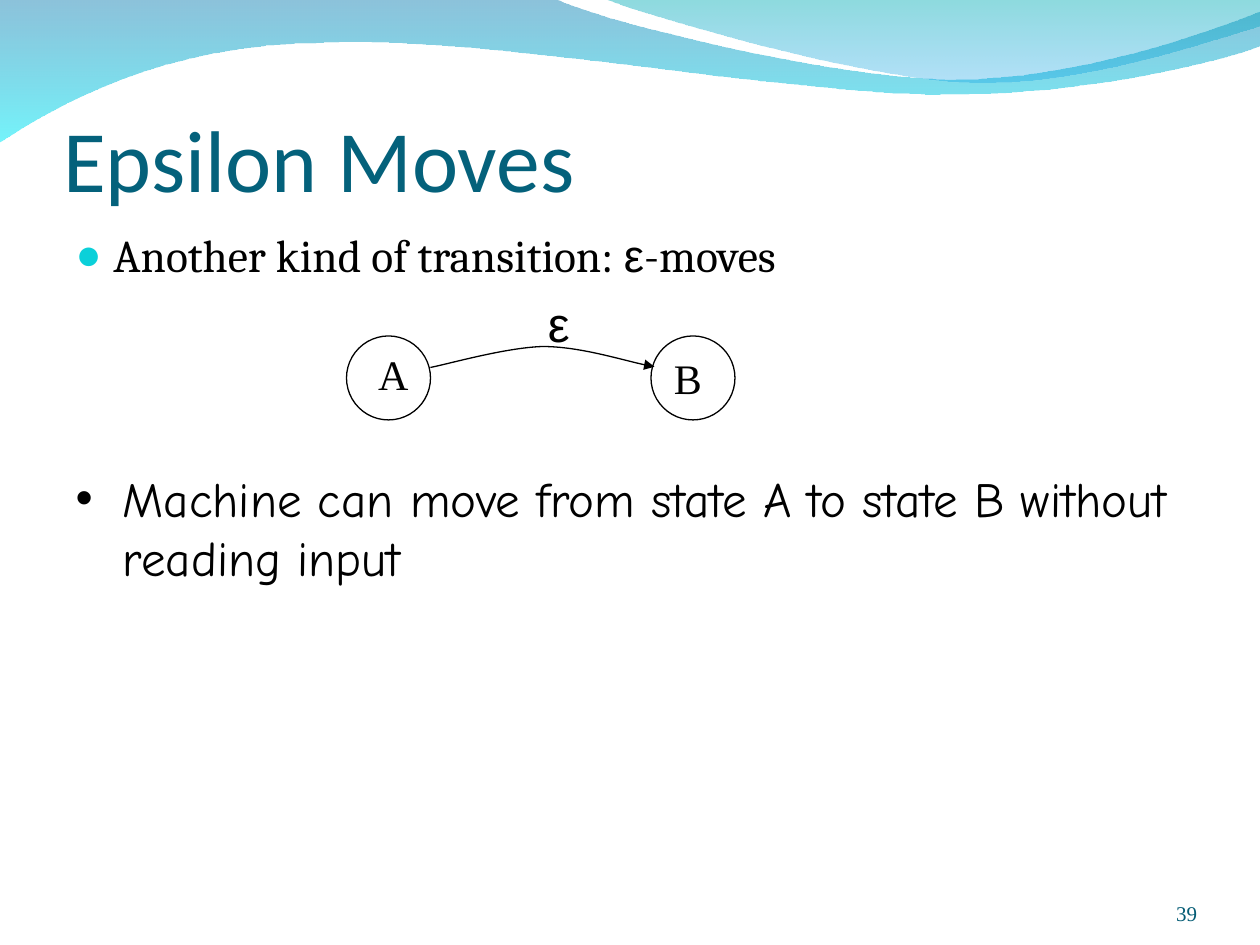
from dataclasses import dataclass
from lxml import etree
from pptx import Presentation
from pptx.dml.color import RGBColor
from pptx.enum import shapes as kinds, text as txt
from pptx.oxml import ns
from pptx.util import Pt


@dataclass(frozen=True)
class Theme:
    ink: str = "000000"
    title: str = "04617B"
    number: str = "045C75"
    bullet: str = "0BD0D9"
    head: float = 50
    item: float = 26
    note: float = 28
    state: float = 24
    small: float = 12
    line: float = 0.75
    serif: str = "Times New Roman"
    sans: str = "Arial"


THEME = Theme()
WAVES = [
    ((0, -0.7), [
        [(317, -0.7)],
        [(343, 12.2), (478, 45.3), (546, 45.3)],
        [(614, 45.3), (690, 18.7), (720, 6.5)],
        [(720.7, 26)],
        [(708, 31.7), (626, 54.7), (537, 54)],
        [(448, 54), (275, 20.2), (185, 24.5)],
        [(93, 25.2), (33, 59.8), (-0.7, 81.4)],
    ], [("0079AF", 45), ("00EBF8", 55)]),
    ((345, -0.7), [
        [(366.5, 7.9), (491, 44.6), (553.7, 46.8)],
        [(616.3, 49.7), (692, 23), (720, 15.1)],
        [(720, 0)],
    ], [("00ADB6", 45), ("009BE5", 30)]),
]
MOVE = ((246, 210), [
    [(256.3, 208), (288.7, 198.7), (310, 198)],
    [(331.2, 198), (360.7, 207.4), (374, 209.6)],
])


def add(node, tag, **attrs):
    return etree.SubElement(node, ns.qn(tag), attrs)


def place(shape, box):
    shape.left, shape.top, shape.width, shape.height = map(Pt, box)


def bend(shape, parts):
    lines = list(shape._element.iter(ns.qn("a:lnTo")))
    for line, part in zip(lines, parts):
        if len(part) == 3:
            cubic = etree.Element(ns.qn("a:cubicBezTo"))
            for x, y in part:
                add(cubic, "a:pt", x=str(Pt(x) - shape.left), y=str(Pt(y) - shape.top))
            line.getparent().replace(line, cubic)


def outline(shapes, start, parts, close):
    form = shapes.build_freeform(Pt(start[0]), Pt(start[1]))
    form.add_line_segments([tuple(map(Pt, part[-1])) for part in parts], close=False)
    shape = form.convert_to_shape()
    shape.shadow.inherit = False
    bend(shape, parts)
    if close:
        add(next(shape._element.iter(ns.qn("a:moveTo"))).getparent(), "a:close")
    return shape


def wave(shapes, start, parts, stops):
    shape = outline(shapes, start, parts, True)
    shape.line.fill.background()
    shape.fill.gradient()
    grad = shape._element.spPr.find(ns.qn("a:gradFill"))
    for child in list(grad):
        grad.remove(child)
    group = add(grad, "a:gsLst")
    for pos, (color, alpha) in zip((0, 100000), stops):
        stop = add(group, "a:gs", pos=str(pos))
        add(add(stop, "a:srgbClr", val=color), "a:alpha", val=str(alpha * 1000))
    add(grad, "a:lin", ang="5400000", scaled="0")


def stroke(shape):
    shape.fill.background()
    shape.line.color.rgb = RGBColor.from_string(THEME.ink)
    shape.line.width = Pt(THEME.line)


def ring(shapes, left):
    shape = shapes.add_shape(kinds.MSO_SHAPE.OVAL, Pt(left), Pt(192), Pt(48), Pt(48))
    shape.shadow.inherit = False
    stroke(shape)


def arrow(shapes, start, parts):
    shape = outline(shapes, start, parts, False)
    stroke(shape)
    add(shape.line._get_or_add_ln(), "a:tailEnd", type="triangle")


def write(shape, runs, size, color, align=txt.PP_ALIGN.LEFT):
    para = shape.text_frame.paragraphs[0]
    para.alignment = align
    para.space_before = Pt(0)
    for words, face in runs:
        run = para.add_run()
        run.text = words
        run.font.name = face
        run.font.size = Pt(size)
        run.font.color.rgb = RGBColor.from_string(color)


def label(shapes, box, words, face, size):
    shape = shapes.add_textbox(*map(Pt, box))
    shape.text_frame.word_wrap = False
    shape.text_frame.auto_size = txt.MSO_AUTO_SIZE.SHAPE_TO_FIT_TEXT
    write(shape, [(words, face)], size, THEME.ink)


def title(shape, words):
    place(shape, (36, 30, 648, 90))
    frame = shape.text_frame
    frame.vertical_anchor = txt.MSO_ANCHOR.BOTTOM
    frame.auto_size = txt.MSO_AUTO_SIZE.NONE
    frame.margin_left = frame.margin_right = frame.margin_bottom = 0
    write(shape, [(words, "Calibri")], THEME.head, THEME.title)


def item(shape, box, runs, size, mark, color, scale, indent):
    place(shape, box)
    shape.text_frame.auto_size = txt.MSO_AUTO_SIZE.NONE
    props = shape.text_frame.paragraphs[0]._p.get_or_add_pPr()
    props.set("marL", str(Pt(indent)))
    props.set("indent", str(-Pt(indent)))
    add(add(props, "a:buClr"), "a:srgbClr", val=color)
    add(props, "a:buSzPct", val=str(scale * 1000))
    add(props, "a:buFont", typeface=THEME.sans)
    add(props, "a:buChar", char=mark)
    write(shape, runs, size, THEME.ink)


def number(shapes, words):
    shape = shapes.add_textbox(Pt(624), Pt(500.4), Pt(60), Pt(28.8))
    frame = shape.text_frame
    frame.word_wrap = True
    frame.vertical_anchor = txt.MSO_ANCHOR.BOTTOM
    frame.margin_left = frame.margin_top = frame.margin_right = frame.margin_bottom = 0
    write(shape, [(words, THEME.serif)], THEME.small, THEME.number, txt.PP_ALIGN.RIGHT)


def graph(shapes):
    for left in (198, 372):
        ring(shapes, left)
    arrow(shapes, *MOVE)
    label(shapes, (306, 164.4, 26.6, 41), "ε", THEME.sans, THEME.note)


def raise_up(shapes, *holders):
    for holder in holders:
        shapes._spTree.append(holder._element)


def main():
    deck = Presentation()
    deck.slide_width, deck.slide_height = Pt(720), Pt(540)
    slide = deck.slides.add_slide(deck.slide_layouts.get_by_name("Two Content"))
    shapes = slide.shapes
    head, first, second = list(slide.placeholders)[:3]
    for shape in WAVES:
        wave(shapes, *shape)
    number(shapes, "39")
    raise_up(shapes, head, first)
    title(head, "Epsilon Moves")
    item(first, (36, 126, 654, 54),
         [("Another kind of transition: ", "Cambria"), ("ε", THEME.sans), ("-moves", "Cambria")],
         THEME.item, "●", THEME.bullet, 95, 21.6)
    graph(shapes.add_group_shape().shapes)
    raise_up(shapes, second)
    item(second, (36, 264, 654, 78),
         [("Machine can move from state A to state B without reading input", "Comic Neue")],
         THEME.note, "•", THEME.ink, 100, 27)
    label(shapes, (209, 195.4, 31.7, 36), "A", THEME.serif, THEME.state)
    label(shapes, (378, 198, 30.2, 36), "B", THEME.serif, THEME.state)
    deck.save("out.pptx")


if __name__ == "__main__":
    main()
